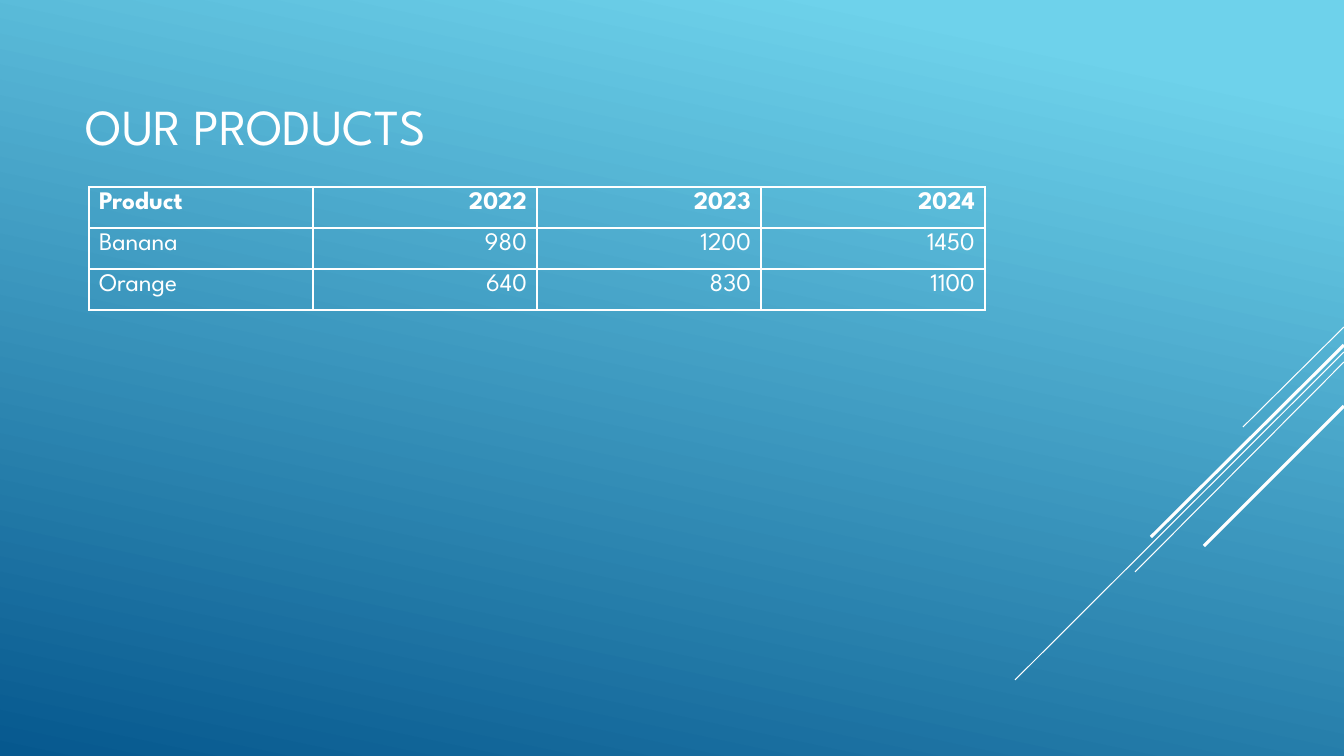
from lxml import etree
from pptx import Presentation
from pptx.dml.color import RGBColor
from pptx.enum.shapes import MSO_CONNECTOR
from pptx.enum.text import MSO_ANCHOR, PP_ALIGN
from pptx.oxml.ns import qn
from pptx.util import Pt

STRAIGHT = MSO_CONNECTOR.STRAIGHT
MIDDLE = MSO_ANCHOR.MIDDLE
LEFT, RIGHT = PP_ALIGN.LEFT, PP_ALIGN.RIGHT

PAGE_WIDTH, PAGE_HEIGHT = 1344, 756
EMU_PER_PX = 12192000 / PAGE_WIDTH
FONT = "League Spartan"
WHITE, SKY, NAVY = "FFFFFF", "6ED2EB", "06588E"

SALES = [
    ("Product", "2022", "2023", "2024"),
    ("Banana", "980", "1200", "1450"),
    ("Orange", "640", "830", "1100"),
]

# Start height, end x, end height (relative to the box) and weight in points
STREAKS = [
    (0, 228, 100, 0.75),
    (25, 0, 353, 0.75),
    (35, 120, 245, 0.75),
    (18, 136, 210, 2.25),
    (79, 189, 219, 2.25),
]


def px(length):
    return round(length * EMU_PER_PX)


def color(hex_string):
    return RGBColor.from_string(hex_string)


def format_paragraph(para, size, bold=False, align=LEFT):
    para.alignment = align
    for span in para.runs:
        span.font.name = FONT
        span.font.size = Pt(size)
        span.font.bold = bold
        span.font.color.rgb = color(WHITE)


def paint_background(page):
    fill = page.background.fill
    fill.gradient()
    fill.gradient_angle = 258
    for stop, position, shade in zip(fill.gradient_stops, (0.1, 1), (SKY, NAVY)):
        stop.position = position
        stop.color.rgb = color(shade)


def add_streaks(page, left, top, width):
    for start_y, end_x, end_y, weight in STREAKS:
        streak = page.shapes.add_connector(
            STRAIGHT, px(left + width), px(top + start_y),
            px(left + end_x), px(top + end_y))
        streak.line.color.rgb = color(WHITE)
        streak.line.width = Pt(weight)
        etree.SubElement(streak._element.spPr, qn("a:effectLst"))


def add_title(page, left, top, width, height):
    box = page.shapes.add_textbox(px(left), px(top), px(width), px(height))
    frame = box.text_frame
    frame.word_wrap = True
    frame.vertical_anchor = MIDDLE
    frame.margin_top = px(21)
    frame.text = "OUR PRODUCTS"
    format_paragraph(frame.paragraphs[0], 36)


def add_borders(cell):
    properties = cell._tc.get_or_add_tcPr()
    for side in ("a:lnL", "a:lnR", "a:lnT", "a:lnB"):
        border = etree.SubElement(properties, qn(side), w=str(Pt(1)))
        fill = etree.SubElement(border, qn("a:solidFill"))
        etree.SubElement(fill, qn("a:srgbClr"), val=WHITE)


def add_sales_table(page, left, top, column_width, row_height):
    rows, columns = len(SALES), len(SALES[0])
    table = page.shapes.add_table(
        rows, columns, px(left), px(top),
        px(column_width * columns), px(row_height * rows)).table
    for column in table.columns:
        column.width = px(column_width)
    for row_index, values in enumerate(SALES):
        table.rows[row_index].height = px(row_height)
        for column_index, value in enumerate(values):
            cell = table.cell(row_index, column_index)
            cell.text = value
            format_paragraph(cell.text_frame.paragraphs[0], 18,
                             bold=row_index == 0,
                             align=RIGHT if column_index else LEFT)
            add_borders(cell)
            cell.fill.background()


def main():
    deck = Presentation()
    deck.slide_width, deck.slide_height = px(PAGE_WIDTH), px(PAGE_HEIGHT)
    page = deck.slides.add_slide(deck.slide_layouts[6])

    # Background and diagonal streaks at the right edge
    paint_background(page)
    add_streaks(page, 1015, 327, PAGE_WIDTH - 1015)

    # Title and sales table
    add_title(page, 76, 34, 940, 166)
    add_sales_table(page, 89, 187, 224, 41)

    deck.save("out.pptx")


if __name__ == "__main__":
    main()
